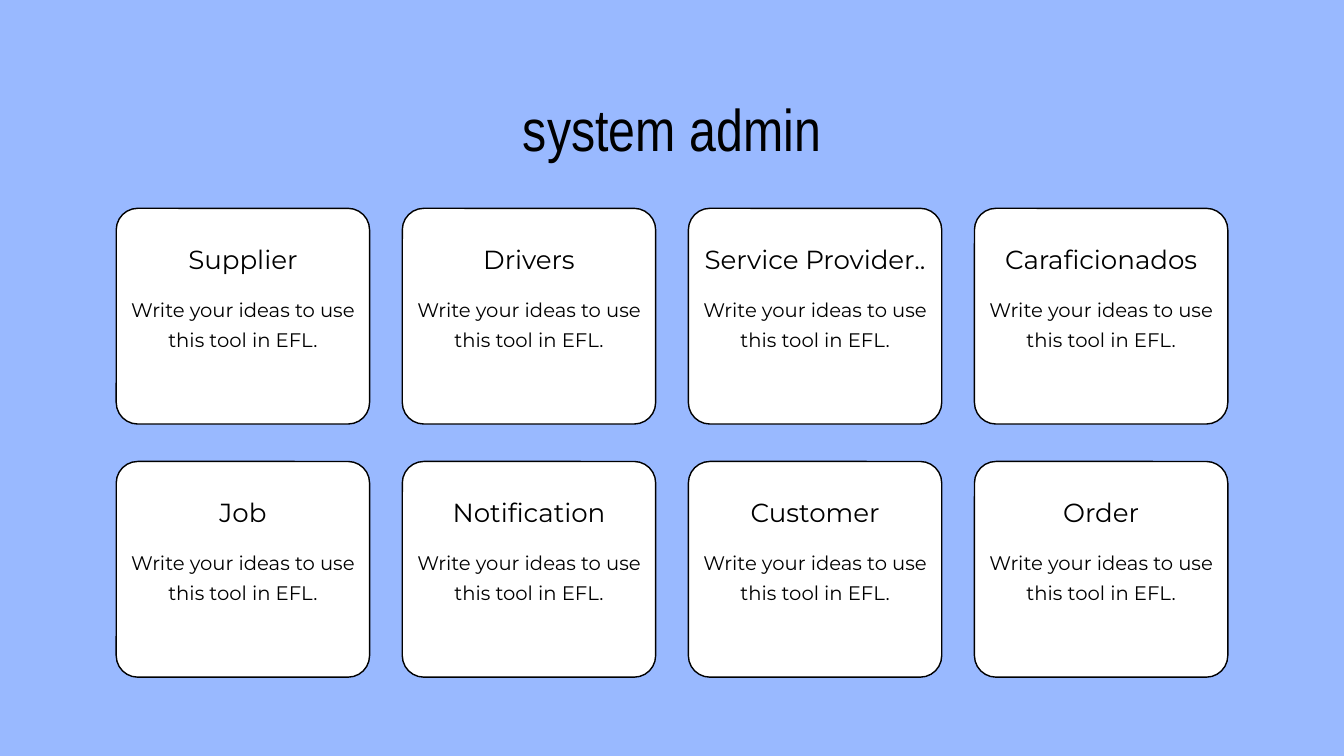
from pptx import Presentation
from pptx.dml.color import RGBColor
from pptx.enum.shapes import MSO_SHAPE
from pptx.enum.text import MSO_ANCHOR, PP_ALIGN
from pptx.util import Inches, Pt

ROUNDED = MSO_SHAPE.ROUNDED_RECTANGLE
TOP = MSO_ANCHOR.TOP
CENTER = PP_ALIGN.CENTER

BLUE = RGBColor(0x99, 0xB9, 0xFF)
WHITE = RGBColor(0xFF, 0xFF, 0xFF)
BLACK = RGBColor(0x00, 0x00, 0x00)

# Card grid, in inches
COLUMNS = 4
GRID_LEFT, GRID_TOP = 1.73, 3.1
COLUMN_STEP, ROW_STEP = 4.257, 3.767
CARD_WIDTH, CARD_HEIGHT = 3.77, 3.21
CORNER_RADIUS = 0.32
TEXT_INSET, TEXT_WIDTH = 0.215, 3.34

ROLES = ["Supplier", "Drivers", "Service Provider..", "Caraficionados",
         "Job", "Notification", "Customer", "Order"]
IDEA = "Write your ideas to use this tool in EFL."


def write(shape, text, font_name, size, spacing):
    frame = shape.text_frame
    frame.margin_left = frame.margin_right = 0
    frame.margin_top = frame.margin_bottom = 0
    frame.word_wrap = True
    frame.vertical_anchor = TOP
    frame.text = text
    paragraph = frame.paragraphs[0]
    paragraph.alignment = CENTER
    paragraph.line_spacing = Pt(spacing)
    paragraph.space_before = Pt(0)
    paragraph.font.name = font_name
    paragraph.font.size = Pt(size)
    paragraph.font.color.rgb = BLACK


presentation = Presentation()
presentation.slide_width = Inches(20)
presentation.slide_height = Inches(11.25)
slide = presentation.slides.add_slide(presentation.slide_layouts.get_by_name("Title Only"))
slide.background.fill.solid()
slide.background.fill.fore_color.rgb = BLUE

# Title
title = slide.shapes.title
title.left, title.top = Inches(5.09), Inches(1.55)
title.width, title.height = Inches(9.82), Inches(0.95)
write(title, "system admin", "Arial Narrow", 63.1, 63.8)

# Cards, each with a heading and a line of text
for index, role in enumerate(ROLES):
    row, column = divmod(index, COLUMNS)
    left = GRID_LEFT + column * COLUMN_STEP
    top = GRID_TOP + row * ROW_STEP

    card = slide.shapes.add_shape(ROUNDED, Inches(left), Inches(top),
                                  Inches(CARD_WIDTH), Inches(CARD_HEIGHT))
    card.adjustments[0] = CORNER_RADIUS / CARD_HEIGHT
    card.shadow.inherit = False
    card.fill.solid()
    card.fill.fore_color.rgb = WHITE
    card.line.color.rgb = BLACK
    card.line.width = Pt(1.5)

    for text, offset, height, size, spacing in [(role, 0.48, 0.49, 28, 36.4),
                                                (IDEA, 1.25, 0.85, 21, 31.5)]:
        box = slide.shapes.add_textbox(Inches(left + TEXT_INSET), Inches(top + offset),
                                       Inches(TEXT_WIDTH), Inches(height))
        write(box, text, "Montserrat", size, spacing)

presentation.save("out.pptx")
